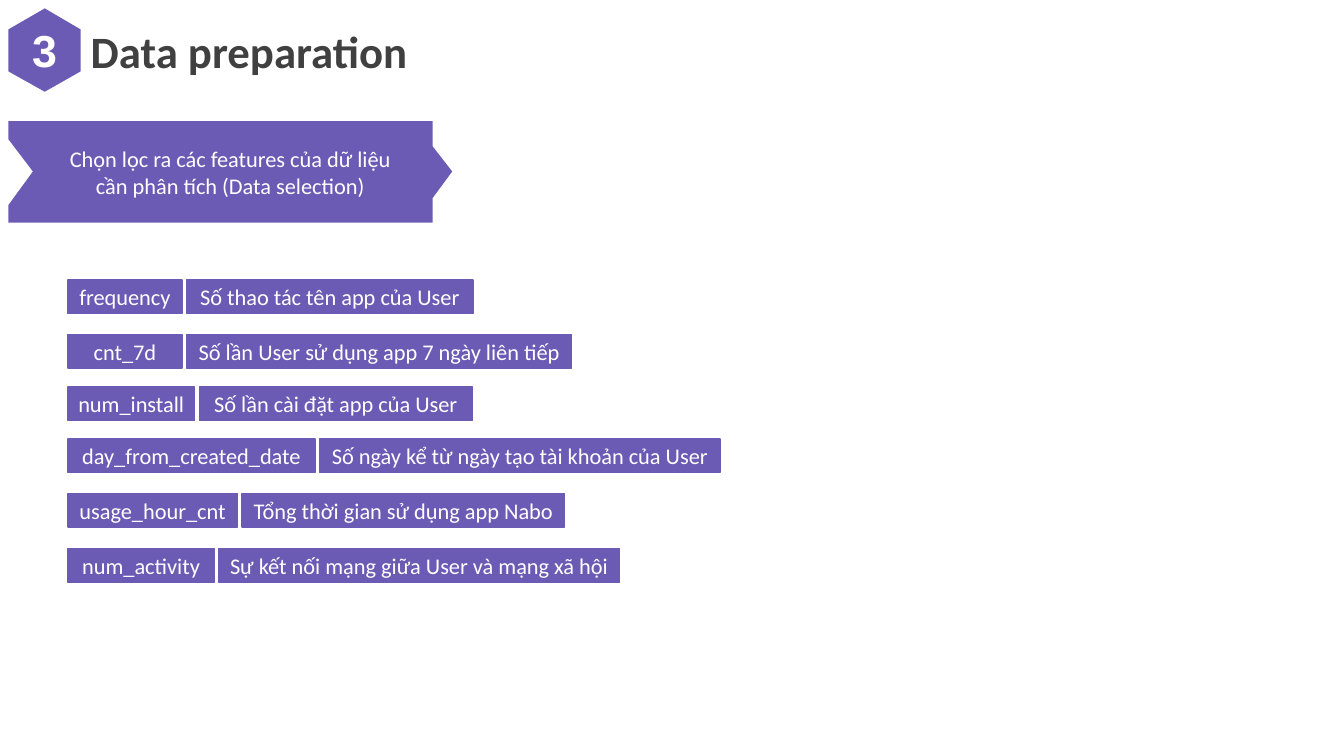
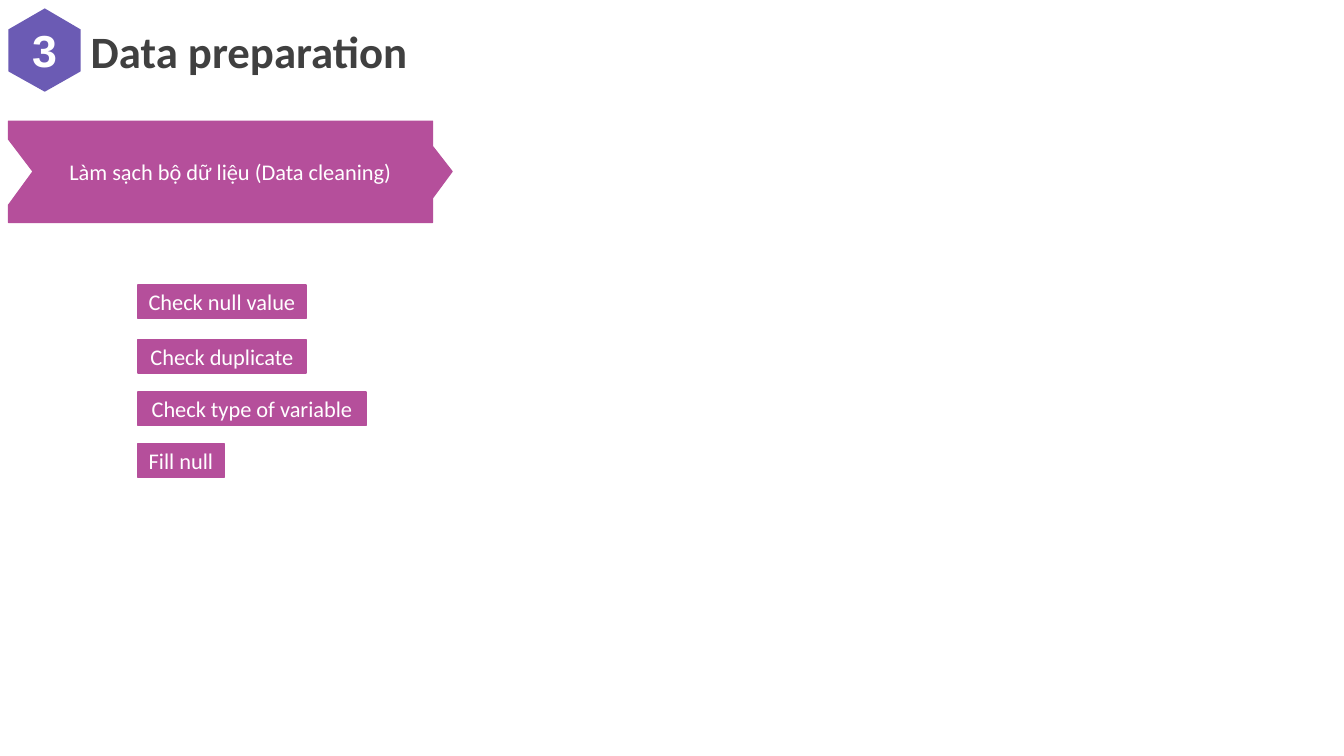
from pptx import Presentation
from pptx.dml.color import RGBColor as RGB
from pptx.enum.shapes import MSO_SHAPE as SHAPE
from pptx.enum.text import MSO_ANCHOR as ANCHOR, MSO_AUTO_SIZE as FIT, PP_ALIGN as ALIGN
from pptx.util import Pt

COLORS = {"purple": "6B5BB4", "magenta": "B54F9B", "title": "404040", "white": "FFFFFF"}
BODY_FONT = "Calibri"

# Shared outlines, in points
HEXAGON = [(6, 21), (6, 51), (32, 65.5), (57.6, 51), (57.6, 21), (32, 6)]
BANNER = [(323, 122.5), (309, 141.5), (309, 159), (6, 159), (6, 146.5),
          (23.5, 122.5), (6, 99.5), (6, 86.5), (309, 86.5), (309, 104.5)]

# Shared rows of tags
ROW_OFFSETS = [0, 39, 76.5, 113.5, 152.5, 192]
TAG_HEIGHT, TAG_GAP = 24, 3.4

# Each row is a list of (text, width) tags
SLIDES = [
    {
        "color": "purple", "border": 0, "left": 48.5, "top": 200,
        "banner": ["Chọn lọc ra các features của dữ liệu", "cần phân tích (Data selection)"],
        "rows": [
            [("frequency", 81.5), ("Số thao tác tên app của User", 204.5)],
            [("cnt_7d", 81.5), ("Số lần User sử dụng app 7 ngày liên tiếp", 275)],
            [("num_install", 90.5), ("Số lần cài đặt app của User", 195)],
            [("day_from_created_date", 176.5), ("Số ngày kể từ ngày tạo tài khoản của User", 286)],
            [("usage_hour_cnt", 121), ("Tổng thời gian sử dụng app Nabo", 230.5)],
            [("num_activity", 104.5), ("Sự kết nối mạng giữa User và mạng xã hội", 286)],
        ],
    },
    {
        "color": "magenta", "border": 0.75, "left": 98.5, "top": 203.5,
        "banner": ["Làm sạch bộ dữ liệu (Data cleaning)"],
        "rows": [
            [("Check null value", 120)],
            [("Check duplicate", 120)],
            [("Check type of variable", 163)],
            [("Fill null", 61.5)],
        ],
    },
]


def style(sp, color, border, lines, size=16, font=BODY_FONT, bold=False):
    """Fill a shape with one colour and centre white text in it."""
    sp.shadow.inherit = False
    sp.fill.solid()
    sp.fill.fore_color.rgb = RGB.from_string(COLORS[color])
    if border:
        sp.line.color.rgb = RGB.from_string(COLORS[color])
        sp.line.width = Pt(border)
    else:
        sp.line.fill.background()
    tf = sp.text_frame
    tf.word_wrap = False
    tf.vertical_anchor = ANCHOR.MIDDLE
    tf.margin_left = tf.margin_right = tf.margin_top = tf.margin_bottom = 0
    for i, line in enumerate(lines):
        p = tf.add_paragraph() if i else tf.paragraphs[0]
        p.alignment = ALIGN.CENTER
        r = p.add_run()
        r.text = line
        r.font.name, r.font.size, r.font.bold = font, Pt(size), bold
        r.font.color.rgb = RGB.from_string(COLORS["white"])


def add_outline(s, points):
    """Draw a closed freeform through points given in points."""
    start, *rest = [(Pt(x), Pt(y)) for x, y in points]
    builder = s.shapes.build_freeform(*start)
    builder.add_line_segments(rest, close=True)
    return builder.convert_to_shape()


prs = Presentation()
prs.slide_width, prs.slide_height = Pt(960), Pt(540)

for content in SLIDES:
    s = prs.slides.add_slide(prs.slide_layouts[5])
    color = content["color"]

    # Section number and title
    style(add_outline(s, HEXAGON), "purple", 0, ["3"], size=32, font="Arial", bold=True)
    title = s.shapes.title
    title.left, title.top, title.width, title.height = Pt(57.6), Pt(13), Pt(410), Pt(46)
    tf = title.text_frame
    tf.auto_size = FIT.NONE
    tf.vertical_anchor = ANCHOR.TOP
    p = tf.paragraphs[0]
    p.alignment = ALIGN.LEFT
    r = p.add_run()
    r.text = "Data preparation"
    r.font.name, r.font.size, r.font.bold = BODY_FONT, Pt(32), True
    r.font.color.rgb = RGB.from_string(COLORS["title"])

    # Step banner
    style(add_outline(s, BANNER), color, content["border"], content["banner"])

    # Rows of tags
    for offset, row in zip(ROW_OFFSETS, content["rows"]):
        left = content["left"]
        for text, width in row:
            sp = s.shapes.add_shape(SHAPE.RECTANGLE, Pt(left), Pt(content["top"] + offset),
                                    Pt(width), Pt(TAG_HEIGHT))
            style(sp, color, 1, [text])
            left += width + TAG_GAP

prs.save("out.pptx")
